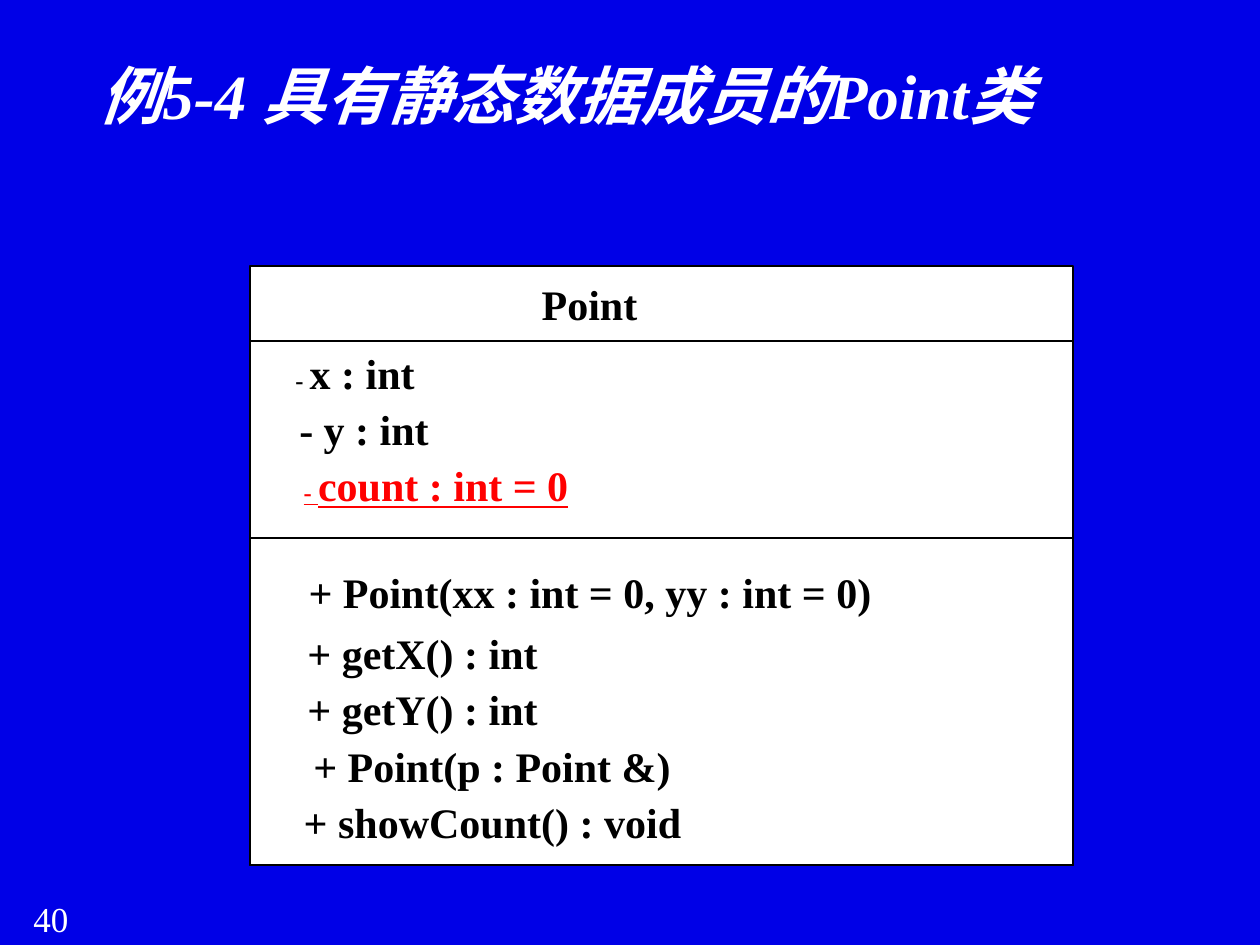
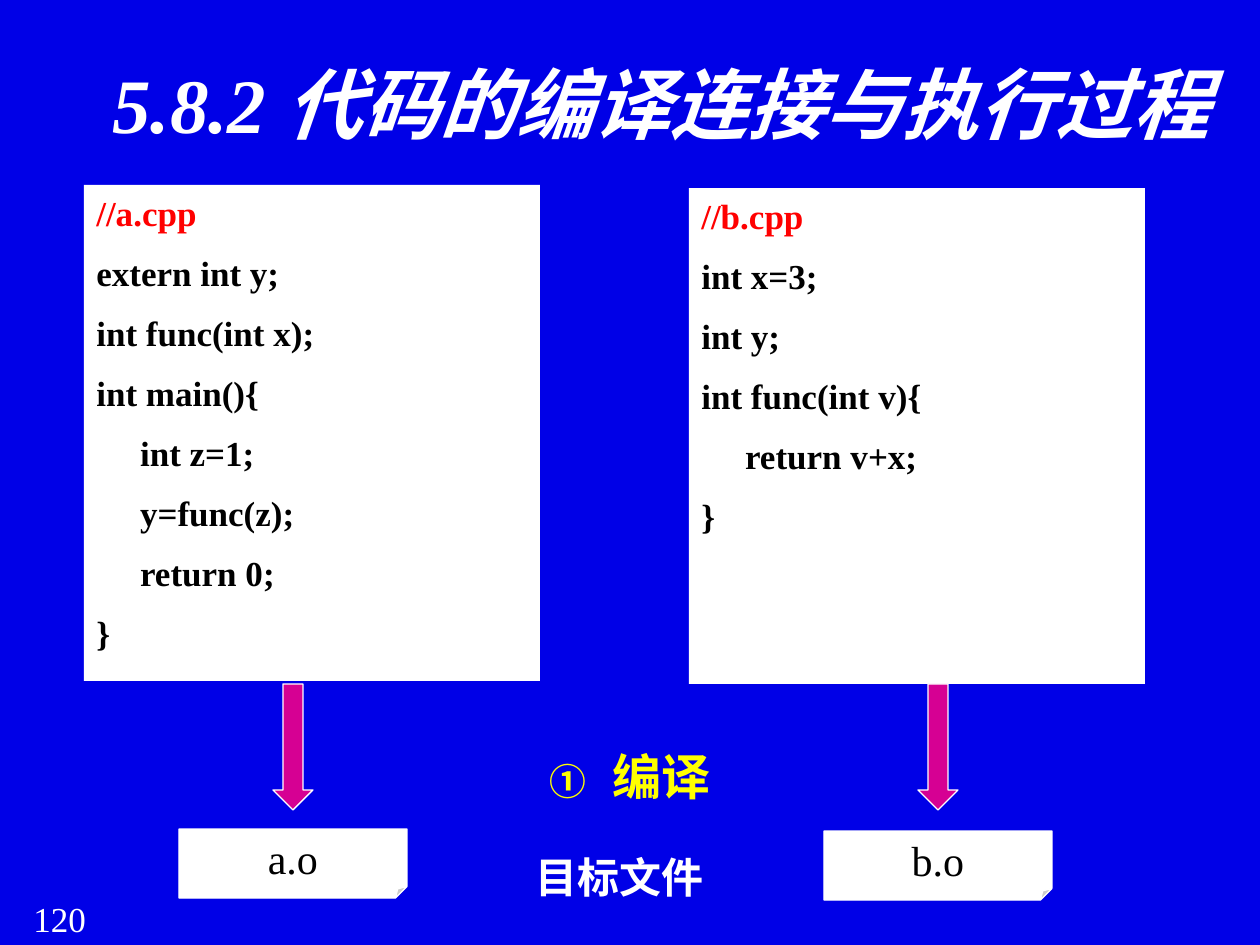
from lxml import etree
from pptx import Presentation
from pptx.dml.color import RGBColor
from pptx.enum.shapes import MSO_SHAPE as Shape
from pptx.enum.text import MSO_ANCHOR as Anchor, MSO_AUTO_SIZE as Fit, PP_ALIGN as Align
from pptx.oxml.ns import qn
from pptx.util import Emu, Pt

EMU_PER_PX = 914400 / 126
FONT = "Times New Roman"
BLUE, WHITE, BLACK = "0000E7", "FFFFFF", "000000"
RED, YELLOW, PINK = "FF0000", "FFFF00", "D60093"


def px(length):
    return Emu(round(length * EMU_PER_PX))


def color(code):
    return RGBColor.from_string(code)


class Painter:
    """Holds the deck style and the slide being drawn."""

    def __init__(self, deck):
        self.deck = deck
        self.page = None

    def new_page(self, number, title, size, width, align=Align.LEFT):
        self.page = self.deck.slides.add_slide(self.deck.slide_layouts[6])
        fill = self.page.background.fill
        fill.solid()
        fill.fore_color.rgb = color(BLUE)
        self.text(21, 891, 105, 54, number, 20, WHITE)
        para = self.text(87, 50, width, 183, title, size, WHITE, bold=True, align=align)
        para.font.italic = True

    def style(self, para, size, ink, bold=False, align=Align.LEFT):
        para.alignment = align
        font = para.font
        font.name, font.size, font.bold = FONT, Pt(size), bold
        font.color.rgb = color(ink)

    def text(self, left, top, width, height, words, size, ink,
             bold=False, align=Align.LEFT, wrap=True, inset=None):
        box = self.page.shapes.add_textbox(px(left), px(top), px(width), px(height))
        frame = box.text_frame
        frame.word_wrap = wrap
        if not wrap:
            frame.auto_size = Fit.SHAPE_TO_FIT_TEXT
        if inset is not None:
            self.insets(frame, inset, inset)
        para = frame.paragraphs[0]
        para.add_run().text = words
        self.style(para, size, ink, bold, align)
        return para

    def insets(self, frame, side, end):
        frame.margin_left = frame.margin_right = px(side)
        frame.margin_top = frame.margin_bottom = px(end)

    def shape(self, kind, left, top, width, height, fill=None, line=None, weight=0.75):
        shape = self.page.shapes.add_shape(kind, px(left), px(top), px(width), px(height))
        shape.shadow.inherit = False
        if fill:
            shape.fill.solid()
            shape.fill.fore_color.rgb = color(fill)
        else:
            shape.fill.background()
        if line:
            shape.line.color.rgb = color(line)
            shape.line.width = Pt(weight)
        else:
            shape.line.fill.background()
        return shape

    def member(self, left, top, width, words, ink=BLACK, mark=""):
        """One line of the class diagram, with an optional smaller mark."""
        para = self.text(left, top, width, 50, mark or words, 24, ink,
                         bold=True, align=Align.CENTER, wrap=False, inset=0)
        if mark:
            para.runs[0].font.size = Pt(14)
            para.add_run().text = words
        return para

    def code(self, left, top, lines):
        frame = self.shape(Shape.RECTANGLE, left, top, 456, 496, WHITE).text_frame
        frame.word_wrap = True
        frame.vertical_anchor = Anchor.TOP
        for index, line in enumerate(lines):
            para = frame.add_paragraph() if index else frame.paragraphs[0]
            para.add_run().text = line
            para.space_after = Pt(5.7)
            if index:
                para.space_before = Pt(4.6)
            self.style(para, 20, BLACK if index else RED, bold=True)

    def note(self, left, top, words):
        frame = self.shape(Shape.FOLDED_CORNER, left, top, 228, 69, WHITE, WHITE).text_frame
        frame.word_wrap = False
        frame.vertical_anchor = Anchor.MIDDLE
        self.insets(frame, 5, 0)
        para = frame.paragraphs[0]
        para.add_run().text = words
        self.style(para, 24, BLACK, align=Align.CENTER)

    def step(self, left, top, width, height, words):
        """A centred line with a circled number."""
        box = self.page.shapes.add_textbox(px(left), px(top), px(width), px(height))
        box.text_frame.word_wrap = True
        para = box.text_frame.paragraphs[0]
        para.add_run().text = words
        para.line_spacing = 1.5
        props = para._p.get_or_add_pPr()
        props.set("marL", str(px(63)))
        props.set("indent", str(-px(63)))
        ink = etree.SubElement(props, qn("a:buClr"))
        etree.SubElement(ink, qn("a:srgbClr"), val=YELLOW)
        etree.SubElement(props, qn("a:buSzPct"), val="75000")
        etree.SubElement(props, qn("a:buAutoNum"), type="circleNumDbPlain")
        self.style(para, 28, YELLOW, bold=True, align=Align.CENTER)


def class_diagram(painter):
    painter.new_page("40", "例5-4 具有静态数据成员的Point类", 36, 1086)

    # Compartments, all reaching down to the same edge
    bottom = 865
    for top, fill in ((266, WHITE), (341, None), (538, None)):
        painter.shape(Shape.RECTANGLE, 250, top, 823, bottom - top, fill, BLACK, 0)

    # Class name and attributes
    painter.member(541, 279, 97, "Point")
    painter.member(295, 348, 120, "x : int", mark="- ")
    painter.member(299, 404, 130, "- y : int")
    count = painter.member(302, 460, 268, "count : int = 0", RED, mark="- ")
    count.font.underline = True

    # Operations
    for left, top, width, words in (
        (306, 567, 568, "+ Point(xx : int = 0, yy : int = 0)"),
        (306, 628, 233, "+ getX() : int"),
        (306, 684, 233, "+ getY() : int"),
        (312, 741, 360, "+ Point(p : Point &)"),
        (302, 797, 381, "+ showCount() : void"),
    ):
        painter.member(left, top, width, words)


def compile_steps(painter):
    painter.new_page("120", "5.8.2 代码的编译连接与执行过程", 44, 1149, Align.CENTER)
    painter.step(87, 711, 1086, 81, "编译")

    # Source files
    painter.code(84, 185, ["//a.cpp", "extern int y;", "int func(int x);", "int main(){",
                           "     int z=1;", "     y=func(z);", "     return 0;", "}"])
    painter.code(689, 188, ["//b.cpp", "int x=3;", "int y;", "int func(int v){",
                            "     return v+x;", "}"])

    # Arrows down to the object files
    for center, note_top, name in ((293, 829, "a.o"), (938, 831, "b.o")):
        painter.shape(Shape.DOWN_ARROW, center - 20, 684, 40, 126, PINK, WHITE)
        painter.note(center - 114, note_top, name)
    label = painter.text(522, 820, 195, 82, "目标文件", 24, WHITE,
                         bold=True, align=Align.CENTER, wrap=False)
    label.line_spacing = 1.5


def main():
    deck = Presentation()
    deck.slide_width, deck.slide_height = px(1260), px(945)
    painter = Painter(deck)
    class_diagram(painter)
    compile_steps(painter)
    deck.save("out.pptx")


if __name__ == "__main__":
    main()
